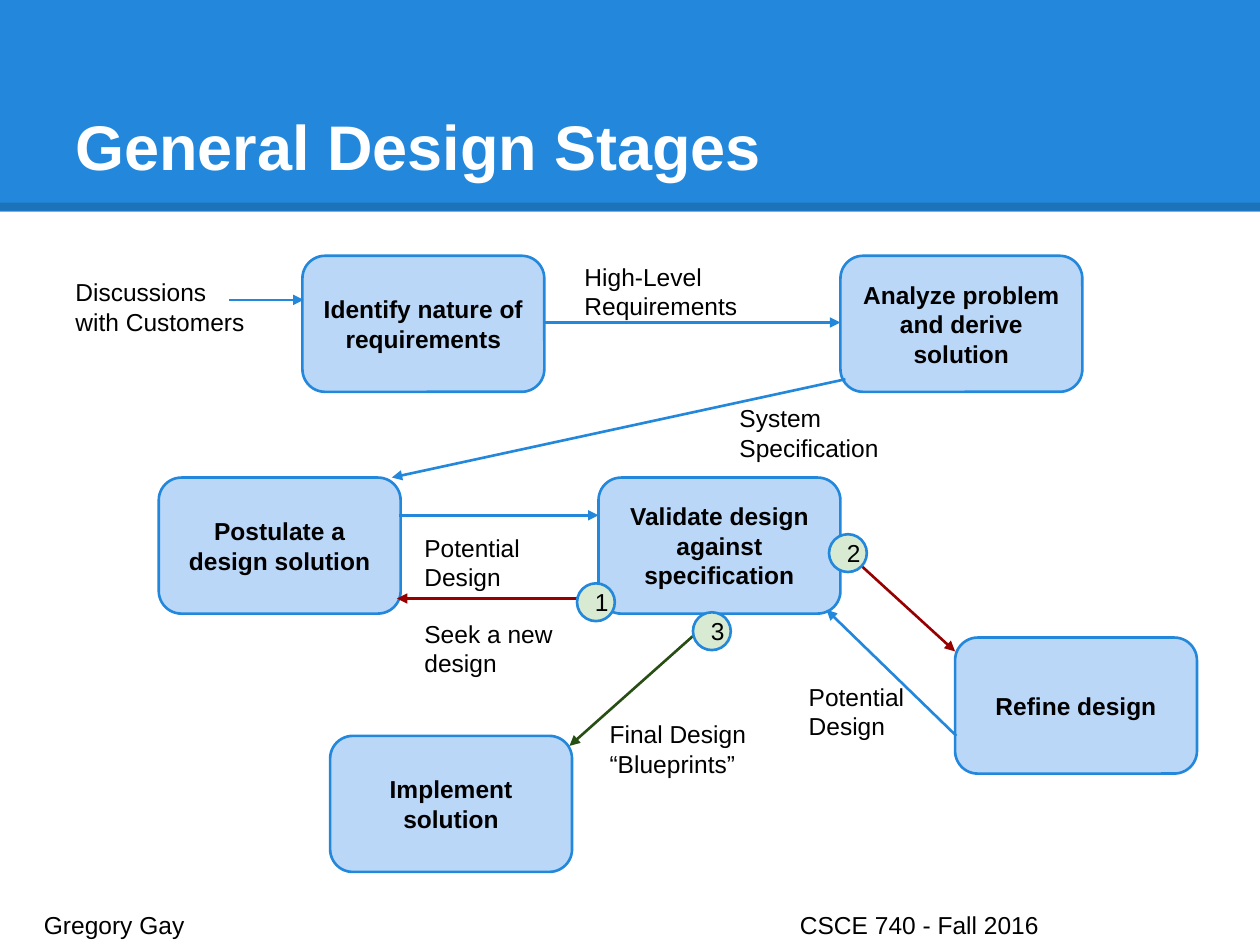
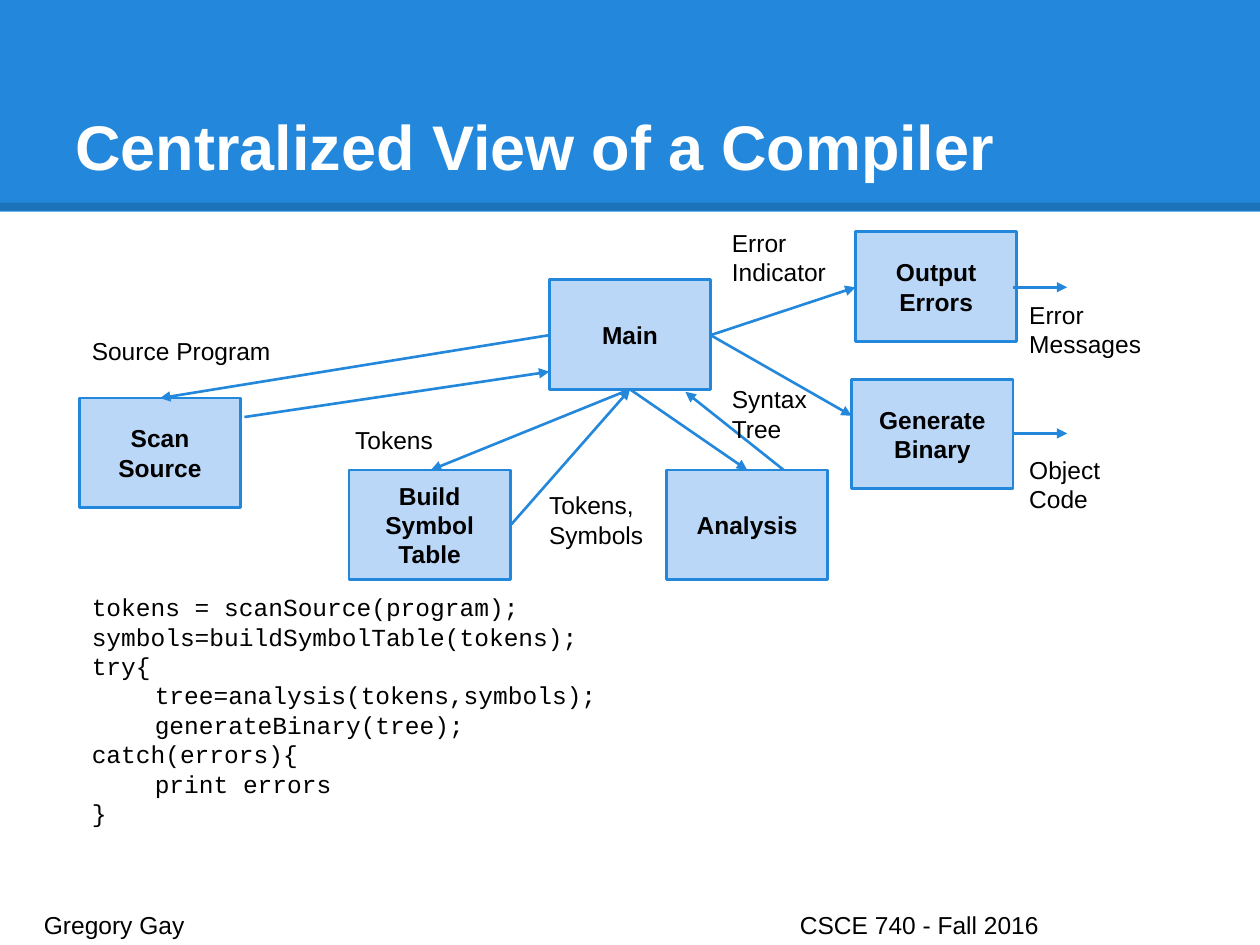
from pptx import Presentation
from pptx.dml.color import RGBColor
from pptx.enum.shapes import MSO_CONNECTOR as CONN, MSO_SHAPE as SHAPE
from pptx.enum.text import MSO_ANCHOR as ANCHOR, PP_ALIGN as ALIGN
from pptx.oxml.ns import qn
from pptx.util import Inches, Pt
from lxml import etree

BLUE, PALE_BLUE, PALE_GREEN = "2388DB", "BBD7F8", "D9EAD3"
RED, GREEN, BLACK, WHITE = "980000", "274E13", "000000", "FFFFFF"
SANS, MONO = "Arial", "Courier New"
STAGE, MODULE, BADGE = (1.92, 1.08), (1.28, 0.87), (0.3, 0.3)


def rgb(color):
    return RGBColor.from_string(color)


def write(shape, text, size=14, font=SANS, color=BLACK, bold=False,
          align=ALIGN.LEFT, anchor=ANCHOR.TOP, leading=16.8, tab=None):
    tf = shape.text_frame
    tf.word_wrap = True
    tf.vertical_anchor = anchor
    tf.margin_left = tf.margin_right = Inches(0.1)
    tf.margin_top = tf.margin_bottom = Inches(0.1)
    for i, line in enumerate(text.split("\n")):
        p = tf.paragraphs[0] if i == 0 else tf.add_paragraph()
        p.alignment = align
        if leading:
            p.line_spacing = Pt(leading)
        if tab:
            tabs = etree.SubElement(p._p.get_or_add_pPr(), qn("a:tabLst"))
            etree.SubElement(tabs, qn("a:tab"), pos=str(Inches(tab)), algn="l")
        r = p.add_run()
        r.text = line
        r.font.name, r.font.size, r.font.bold = font, Pt(size), bold
        r.font.color.rgb = rgb(color)


def add_text(s, text, x, y, w, h=0.4, **fmt):
    box = s.shapes.add_textbox(Inches(x), Inches(y), Inches(w), Inches(h))
    write(box, text, **fmt)


def add_box(s, kind, x, y, size, fill, line=BLUE):
    w, h = size
    sp = s.shapes.add_shape(kind, Inches(x), Inches(y), Inches(w), Inches(h))
    sp.shadow.inherit = False
    sp.fill.solid()
    sp.fill.fore_color.rgb = rgb(fill)
    if line:
        sp.line.color.rgb = rgb(line)
        sp.line.width = Pt(1.5)
    else:
        sp.line.fill.background()
    return sp


def add_line(s, x1, y1, x2, y2, color=BLUE, width=1.5):
    c = s.shapes.add_connector(CONN.STRAIGHT, Inches(x1), Inches(y1),
                               Inches(x2), Inches(y2))
    c.line.color.rgb = rgb(color)
    c.line.width = Pt(width)
    etree.SubElement(c._element.spPr, qn("a:effectLst"))
    return c


def add_arrow(s, *ends, color=BLUE):
    c = add_line(s, *ends, color=color)
    etree.SubElement(c.line._get_or_add_ln(), qn("a:tailEnd"), type="triangle")


def add_frame(prs, title):
    s = prs.slides.add_slide(prs.slide_layouts[6])
    add_box(s, SHAPE.RECTANGLE, 0, 0, (10, 1.68), BLUE, line=None)
    rule = add_line(s, 0, 1.64, 10, 1.64, BLACK, 4.5)
    ink = rule._element.spPr.find(".//" + qn("a:srgbClr"))
    etree.SubElement(ink, qn("a:alpha"), val="15000")
    add_text(s, title, 0.5, 0.3, 9, 1.25, size=36, color=WHITE, bold=True,
             anchor=ANCHOR.BOTTOM, leading=None)
    add_text(s, "Gregory Gay\tCSCE 740 - Fall 2016", 0.25, 7.12, 9.51, 0.3, tab=6)
    return s


def add_diagram(s, x, y, kind, size, nodes, arrows, labels):
    for text, dx, dy in nodes:
        node = add_box(s, kind, x + dx, y + dy, size, PALE_BLUE)
        write(node, text, bold=True, align=ALIGN.CENTER, anchor=ANCHOR.MIDDLE)
    for x1, y1, x2, y2, *color in arrows:
        add_arrow(s, x + x1, y + y1, x + x2, y + y2,
                  color=color[0] if color else BLUE)
    for text, dx, dy, w in labels:
        add_text(s, text, x + dx, y + dy, w)


def add_badges(s, x, y, spots):
    for number, (dx, dy) in enumerate(spots, 1):
        badge = add_box(s, SHAPE.OVAL, x + dx, y + dy, BADGE, PALE_GREEN)
        write(badge, str(number), anchor=ANCHOR.MIDDLE)


def design_stages(s, x, y):
    nodes = [
        ("Identify nature of requirements", 1.9, 0.33),
        ("Analyze problem and derive solution", 6.17, 0.33),
        ("Postulate a design solution", 0.76, 2.09),
        ("Validate design against specification", 4.25, 2.09),
        ("Refine design", 7.08, 3.36),
        ("Implement solution", 2.12, 4.14),
    ]
    arrows = [
        (1.32, 0.68, 1.91, 0.68),
        (3.82, 0.86, 6.17, 0.86),
        (6.21, 1.31, 2.61, 2.09),
        (2.67, 2.39, 4.25, 2.39),
        (4.28, 3.05, 2.65, 3.05, RED),
        (6.16, 2.63, 7.08, 3.47, RED),
        (7.09, 4.14, 6.06, 3.14),
        (5.2, 3.17, 4.02, 4.22, GREEN),
    ]
    labels = [
        ("Discussions\nwith Customers", 0, 0.4, 1.55),
        ("High-Level Requirements", 4.04, 0.28, 1.92),
        ("System Specification", 5.27, 1.4, 1.92),
        ("Potential Design", 2.77, 2.43, 1.37),
        ("Seek a new design", 2.77, 3.11, 1.37),
        ("Potential Design", 5.82, 3.61, 1.37),
        ("Final Design “Blueprints”", 4.24, 3.91, 1.37),
    ]
    add_diagram(s, x, y, SHAPE.ROUNDED_RECTANGLE, STAGE, nodes, arrows, labels)
    add_badges(s, x, y, [(4.08, 2.93), (6.08, 2.54), (5, 3.16)])


def compiler_view(s, x, y):
    nodes = [
        ("Scan Source", 0.03, 1.46),
        ("Build Symbol Table", 2.17, 2.03),
        ("Analysis", 4.69, 2.03),
        ("Generate Binary", 6.16, 1.31),
        ("Output Errors", 6.19, 0.14),
        ("Main", 3.76, 0.52),
    ]
    arrows = [
        (1.34, 1.61, 3.76, 1.25),
        (3.76, 0.96, 0.67, 1.46),
        (3.46, 2.46, 4.4, 1.39),
        (4.4, 1.39, 2.82, 2.03),
        (4.4, 1.39, 5.33, 2.03),
        (5.62, 2.03, 4.84, 1.41),
        (5.04, 0.96, 6.19, 0.58),
        (5.04, 0.96, 6.16, 1.6),
        (7.44, 0.58, 7.87, 0.58),
        (7.44, 1.74, 7.87, 1.74),
    ]
    labels = [
        ("Source Program", 0.03, 0.87, 1.82),
        ("Tokens", 2.12, 1.57, 0.87),
        ("Tokens, Symbols", 3.66, 2.09, 1.03),
        ("Syntax Tree", 5.11, 1.25, 0.95),
        ("Object Code", 7.47, 1.81, 0.81),
        ("Error Indicator", 5.11, 0.01, 1.08),
        ("Error Messages", 7.47, 0.58, 1.22),
    ]
    add_diagram(s, x, y, SHAPE.RECTANGLE, MODULE, nodes, arrows, labels)


def compiler_code(s, x, y, w, h):
    code = "\n".join([
        "tokens = scanSource(program);",
        "symbols=buildSymbolTable(tokens);",
        "try{",
        "\ttree=analysis(tokens,symbols);",
        "\tgenerateBinary(tree);",
        "catch(errors){",
        "\tprint errors",
        "}",
    ])
    add_text(s, code, x, y, w, h, font=MONO)


def main():
    prs = Presentation()
    prs.slide_width, prs.slide_height = Inches(10), Inches(7.5)
    design_stages(add_frame(prs, "General Design Stages"), 0.5, 1.7)
    s = add_frame(prs, "Centralized View of a Compiler")
    compiler_view(s, 0.6, 1.7)
    compiler_code(s, 0.63, 4.6, 4.59, 2.63)
    prs.save("out.pptx")


if __name__ == "__main__":
    main()
